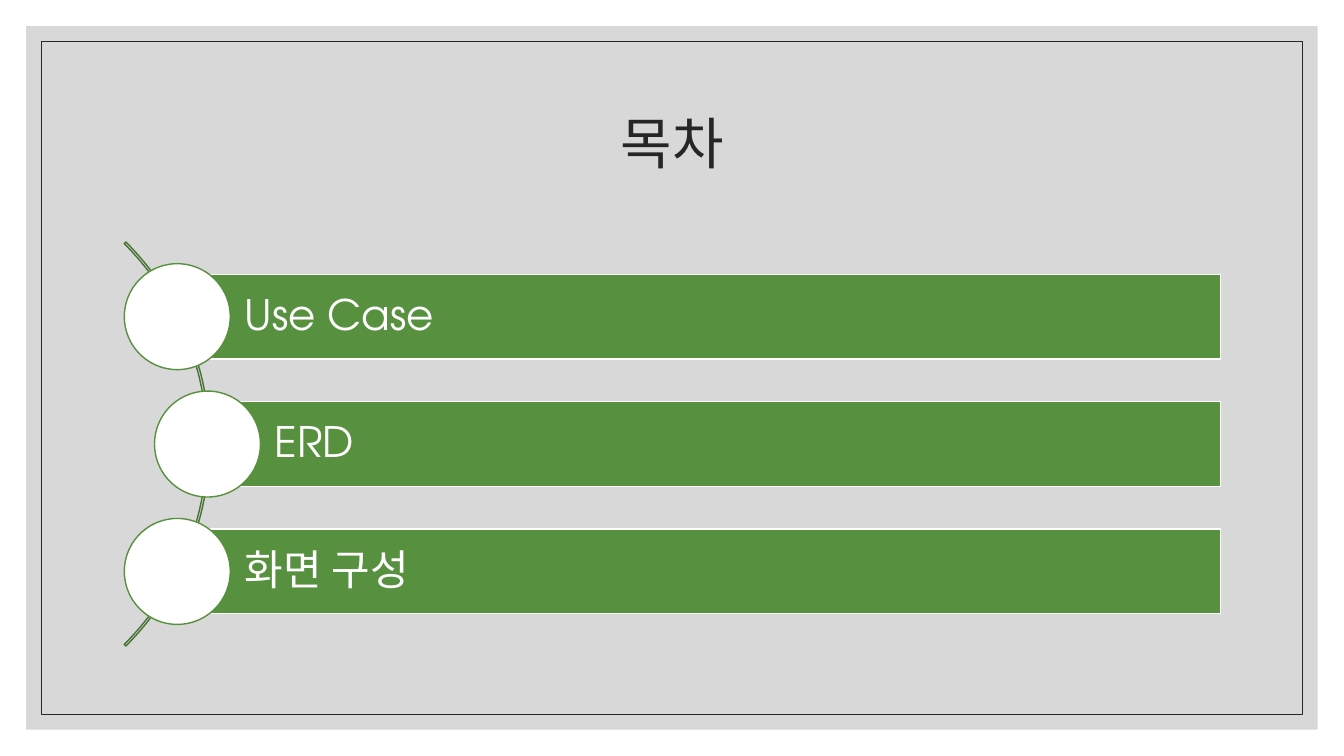
import math
from dataclasses import dataclass

from lxml import etree
from pptx import Presentation
from pptx import util as u
from pptx.dml.color import RGBColor
from pptx.enum import shapes, text
from pptx.oxml.ns import qn


@dataclass(frozen=True)
class Theme:
    panel: str = "BFBFBF"
    ink: str = "262626"
    green: str = "57903F"
    dark_green: str = "467332"
    white: str = "FFFFFF"
    title_font: str = "Arial"
    item_font: str = "TeX Gyre Adventor"
    title_size: int = 40
    item_size: int = 30
    thin: float = 0.5
    line: float = 1


class Agenda:
    """Holds the theme and the slide being drawn."""

    def __init__(self, deck, theme):
        self.theme = theme
        self.slide = deck.slides.add_slide(deck.slide_layouts[6])

    def shape(self, kind, box, fill=None, line=None, weight=None, alpha=None):
        item = self.slide.shapes.add_shape(kind, *map(u.Cm, box))
        item.shadow.inherit = False
        if fill:
            item.fill.solid()
            item.fill.fore_color.rgb = RGBColor.from_string(fill)
        else:
            item.fill.background()
        if line:
            item.line.color.rgb = RGBColor.from_string(line)
            item.line.width = u.Pt(weight or self.theme.line)
        else:
            item.line.fill.background()
        if alpha:
            colour = item.element.spPr.find(qn("a:solidFill")).find(qn("a:srgbClr"))
            etree.SubElement(colour, qn("a:alpha")).set("val", str(alpha * 1000))
        return item

    def label(self, item, words, font, size, colour, align, insets):
        frame = item.text_frame
        paragraph = frame.paragraphs[0]
        run = paragraph.add_run()
        run.text = words
        run.font.color.rgb = RGBColor.from_string(colour)
        left, top, right, bottom = map(u.Cm, insets)
        formats = (
            (frame, dict(word_wrap=True, vertical_anchor=text.MSO_ANCHOR.MIDDLE,
                         margin_left=left, margin_top=top,
                         margin_right=right, margin_bottom=bottom)),
            (paragraph, dict(alignment=align, line_spacing=0.9)),
            (run.font, dict(name=font, size=u.Pt(size))),
        )
        for target, values in formats:
            for name, value in values.items():
                setattr(target, name, value)

    def title(self, words, box):
        heading = self.slide.shapes.add_textbox(*map(u.Cm, box))
        self.label(heading, words, self.theme.title_font, self.theme.title_size,
                   self.theme.ink, text.PP_ALIGN.CENTER, (0.25, 0.13, 0.25, 0.13))

    def arc(self, box, adjustments):
        curve = self.shape(shapes.MSO_SHAPE.BLOCK_ARC, box, line=self.theme.dark_green)
        for index, value in enumerate(adjustments):
            curve.adjustments[index] = value

    def entry(self, words, x, y, right, height, diameter):
        """A bar that starts at the centre of its circle."""
        t = self.theme
        bar = self.shape(shapes.MSO_SHAPE.RECTANGLE,
                         (x, y - height / 2, right - x, height), t.green, t.white)
        self.label(bar, words, t.item_font, t.item_size, t.white,
                   text.PP_ALIGN.LEFT, (1.7, 0.2, 0.2, 0.2))
        self.shape(shapes.MSO_SHAPE.OVAL,
                   (x - diameter / 2, y - diameter / 2, diameter, diameter),
                   t.white, t.green)


WIDTH, HEIGHT = 33.87, 19.05
theme = Theme()
deck = Presentation()
deck.slide_width, deck.slide_height = u.Cm(WIDTH), u.Cm(HEIGHT)
agenda = Agenda(deck, theme)

# Panel and its inner frame
panel_style = dict(fill=theme.panel, alpha=60)
frame_style = dict(line=theme.ink, weight=theme.thin)
for margin, style in ((0.66, panel_style), (1.04, frame_style)):
    agenda.shape(shapes.MSO_SHAPE.RECTANGLE,
                 (margin, margin, WIDTH - 2 * margin, HEIGHT - 2 * margin), **style)

# Title
agenda.title("목차", (2.97, 1.78, 27.94, 3.81))

# Arc that carries the circles
arc_x, arc_y, arc_radius = -1.92, 11.19, 7.2
agenda.arc((arc_x - arc_radius, arc_y - arc_radius, 2 * arc_radius, 2 * arc_radius),
           (189, 27, 0.004))

# Contents, centred on the arc at equal vertical steps
contents = ["Use Case", "ERD", "화면 구성"]
step, orbit = 3.21, 7.15
for index, topic in enumerate(contents):
    rise = (index - (len(contents) - 1) / 2) * step
    agenda.entry(topic, arc_x + math.sqrt(orbit ** 2 - rise ** 2), arc_y + rise,
                 right=30.76, height=2.13, diameter=2.67)

deck.save("out.pptx")
